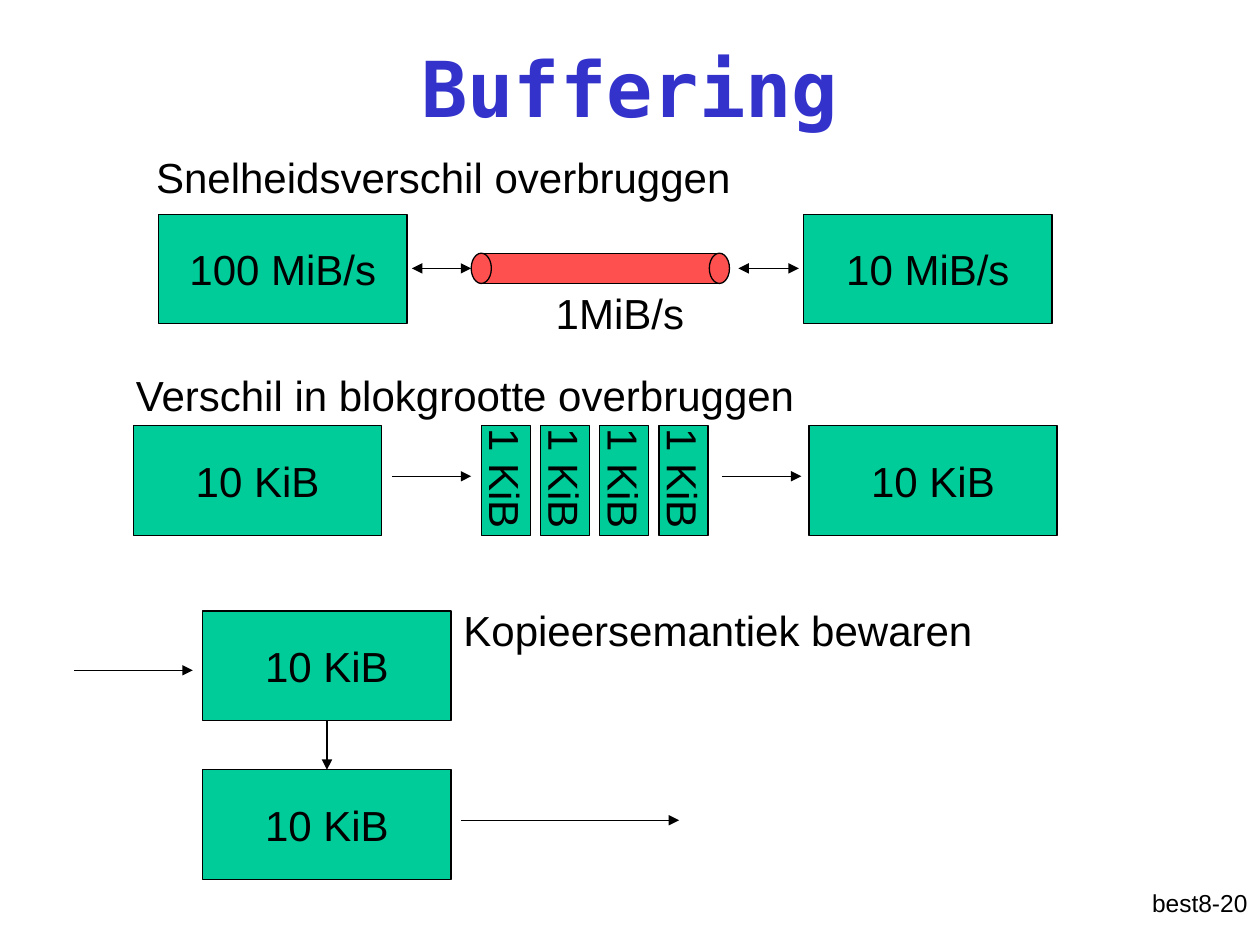
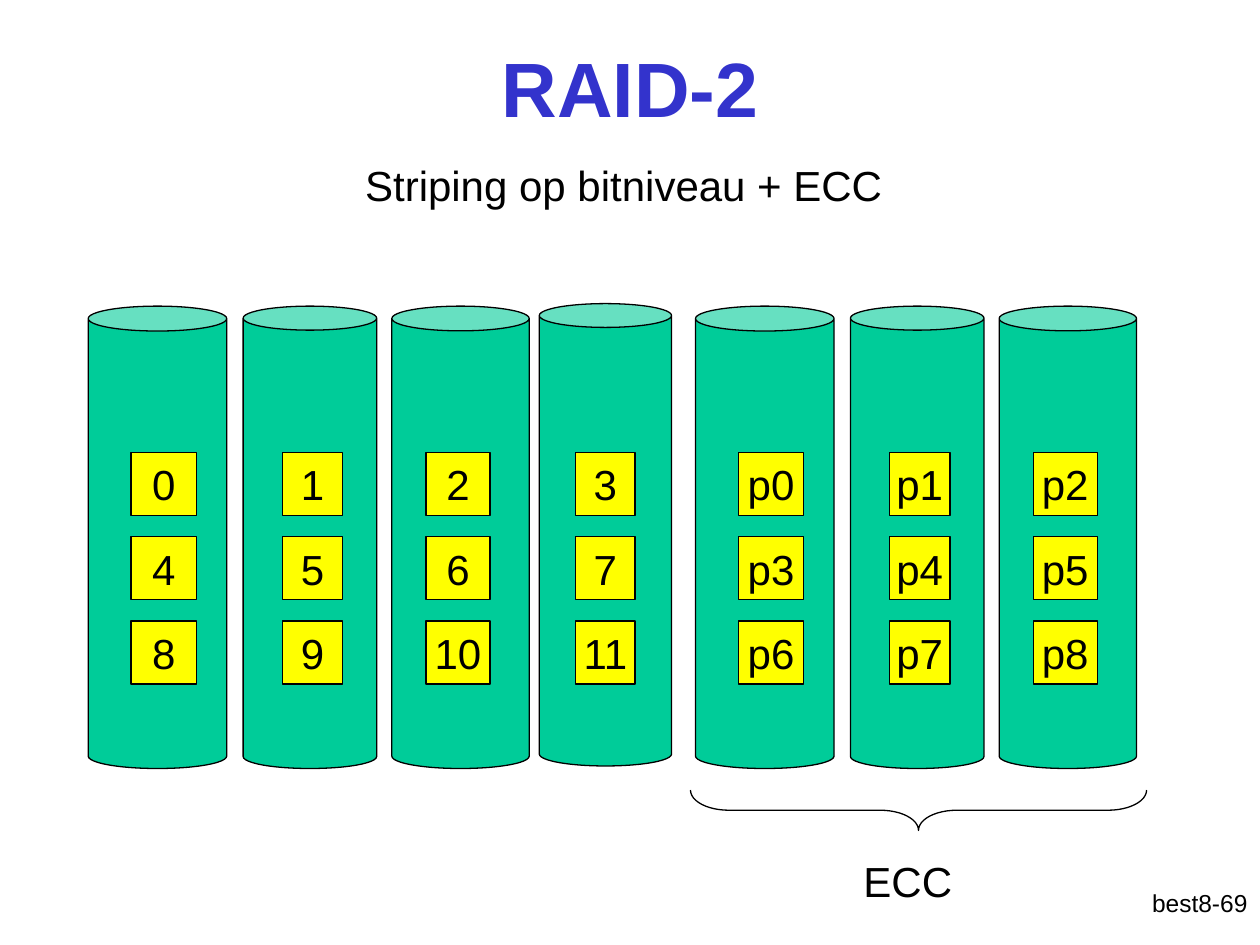
from lxml import etree
from pptx import Presentation
from pptx import util as u
from pptx.dml.color import RGBColor
from pptx.enum import shapes, text
from pptx.oxml import ns

HUES = {"title": "3333CC", "ink": "000000", "block": "00CC99",
        "pipe": "FF5050", "cell": "FFFF00"}
BODY = {"name": "Arial", "size": u.Pt(24), "bold": False}
HEAD = {"name": "Arial", "size": u.Pt(44), "bold": True}
FOOT = {"name": "Arial", "size": u.Pt(14), "bold": False}

KIND = shapes.MSO_SHAPE
ALIGN = text.PP_ALIGN
MIDDLE = text.MSO_ANCHOR.MIDDLE
BLOCK = (1.97, 0.87)    # width and height of a large block
STRIP = (0.39, 0.87)    # width and height of a small block


def hue(name):
    return RGBColor.from_string(HUES[name])


def lengths(*values):
    return [u.Inches(v) for v in values]


def write(shape, words, look=BODY, align=ALIGN.CENTER, ink="ink", **frame):
    """Put one paragraph in a shape; frame holds text frame settings."""
    for key, value in frame.items():
        setattr(shape.text_frame, key, value)
    para = shape.text_frame.paragraphs[0]
    para.text = words
    para.alignment = align
    for key, value in look.items():
        setattr(para.font, key, value)
    para.font.color.rgb = hue(ink)


def label(slide, words, left, top, width, height=0.5, **style):
    box = slide.shapes.add_textbox(*lengths(left, top, width, height))
    write(box, words, word_wrap=True, **style)


def stroke(line):
    line.color.rgb = hue("ink")
    line.width = u.Pt(0.75)


def solid(slide, kind, fill, left, top, width, height):
    shape = slide.shapes.add_shape(kind, *lengths(left, top, width, height))
    shape.shadow.inherit = False
    if fill:
        shape.fill.solid()
        shape.fill.fore_color.rgb = hue(fill)
    else:
        shape.fill.background()
    stroke(shape.line)
    return shape


def block(slide, words, left, top, size=BLOCK, fill="block"):
    shape = solid(slide, KIND.RECTANGLE, fill, left, top, *size)
    write(shape, words, word_wrap=False, vertical_anchor=MIDDLE)
    return shape


def strip(slide, words, left, top):
    """A narrow block whose text runs downwards."""
    shape = block(slide, words, left, top, STRIP)
    frame = shape.text_frame
    frame.margin_left = frame.margin_right = u.Inches(0.05)
    frame.margin_top = frame.margin_bottom = u.Inches(0.02)
    frame._txBody.bodyPr.set("vert", "eaVert")


def arrow(slide, start, end, both=False):
    line = slide.shapes.add_connector(
        shapes.MSO_CONNECTOR.STRAIGHT, *lengths(*start, *end))
    stroke(line.line)
    outline = line.line._get_or_add_ln()
    for tag in ["a:headEnd", "a:tailEnd"] if both else ["a:tailEnd"]:
        etree.SubElement(outline, ns.qn(tag), type="triangle")
    etree.SubElement(line._element.spPr, ns.qn("a:effectLst"))
    return line


def page(deck, title, number, font="Arial"):
    """Add a slide with the shared title and footer."""
    slide = deck.slides.add_slide(deck.slide_layouts[6])
    label(slide, f"best8-{number}", 7.92, 7, 2.08, look=FOOT, align=ALIGN.RIGHT)
    label(slide, title, 0.75, 0.06, 8.5, 1.25, look={**HEAD, "name": font},
          ink="title", vertical_anchor=MIDDLE)
    return slide


def buffers(deck):
    slide = page(deck, "Buffering", 20, "DejaVu Sans Mono")

    # Speed difference: two devices joined by a slow pipe
    label(slide, "Snelheidsverschil overbruggen", 1.14, 1.15, 4.88, align=ALIGN.LEFT)
    block(slide, "100 MiB/s", 1.26, 1.7)
    block(slide, "10 MiB/s", 6.38, 1.7)
    solid(slide, KIND.RECTANGLE, "pipe", 3.82, 2.01, 1.89, 0.24)
    for left in (3.74, 5.63):
        solid(slide, KIND.OVAL, "pipe", left, 2.01, 0.16, 0.24)
    for left, right in ((3.27, 3.74), (5.86, 6.34)):
        arrow(slide, (left, 2.13), (right, 2.13), both=True)
    label(slide, "1MiB/s", 4.21, 2.23, 1.42)

    # Block size difference: one block is cut up and put together again
    label(slide, "Verschil in blokgrootte overbruggen", 0.98, 2.88, 5.67,
          align=ALIGN.LEFT)
    for left in (1.06, 6.42):
        block(slide, "10 KiB", left, 3.38)
    for i in range(4):
        strip(slide, "1 KiB", 3.82 + 0.47 * i, 3.38)
    for left in (3.11, 5.73):
        arrow(slide, (left, 3.78), (left + 0.63, 3.78))

    # Copy semantics: the buffer is copied before it is sent on
    label(slide, "Kopieersemantiek bewaren", 3.58, 4.75, 5.67, align=ALIGN.LEFT)
    first, second = [block(slide, "10 KiB", 1.61, top) for top in (4.85, 6.11)]
    arrow(slide, (0.59, 5.32), (1.53, 5.32))
    copy = arrow(slide, (2.6, 5.72), (2.6, 6.11))
    copy.begin_connect(first, 2)
    copy.end_connect(second, 0)
    arrow(slide, (3.66, 6.51), (5.39, 6.51))


# Disk left, top, width; cell left, width
DISKS = [(0.7, 2.43, 1.1, 1.04, 0.52), (1.93, 2.43, 1.06, 2.24, 0.48),
         (3.11, 2.43, 1.09, 3.38, 0.51), (4.28, 2.41, 1.05, 4.57, 0.47)]


def array(slide, disks, shift=0, prefix=""):
    """Draw disks with three rows of cells, numbered row by row."""
    for col, (left, top, width, inner, side) in enumerate(disks):
        can = solid(slide, KIND.CAN, "block", left + shift, top, width, 3.67)
        can.adjustments[0] = 0.18
        for row in range(3):
            block(slide, f"{prefix}{row * len(disks) + col}", inner + shift,
                  3.59 + 0.67 * row, (side, 0.5), "cell")


def raid(deck):
    slide = page(deck, "RAID-2", 69)
    label(slide, "Striping op bitniveau + ECC", 2.8, 1.22, 5.66, align=ALIGN.LEFT)

    # Data disks, then parity disks
    array(slide, DISKS)
    array(slide, DISKS[:3], 4.82, "p")

    # Brace under the parity disks
    brace = solid(slide, KIND.LEFT_BRACE, None, 7.13, 4.62, 0.32, 3.62)
    brace.rotation = 270
    brace.adjustments[0] = 0.95
    label(slide, "ECC", 6.26, 6.74, 1.89)


def main():
    deck = Presentation()
    deck.slide_width, deck.slide_height = lengths(10, 7.5)
    buffers(deck)
    raid(deck)
    deck.save("out.pptx")


if __name__ == "__main__":
    main()
